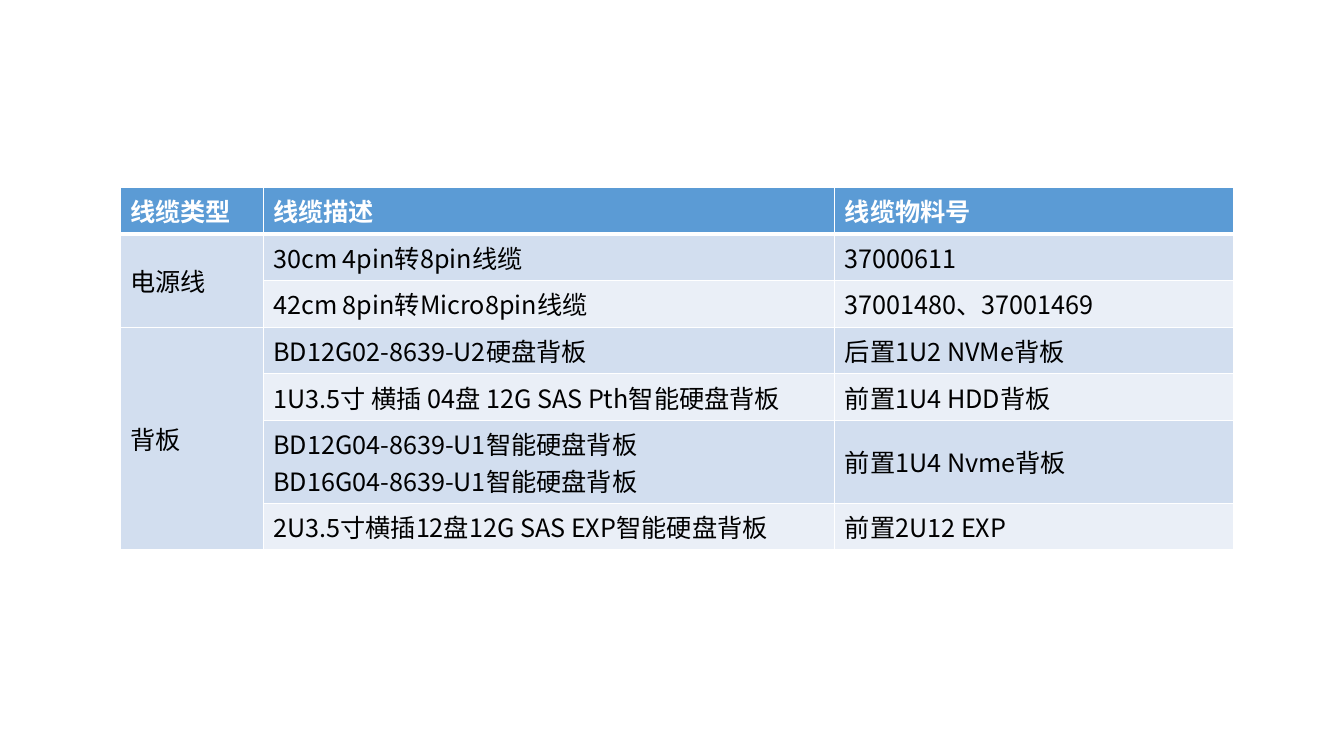
"""Build a slide with a table of cable types, descriptions and part numbers."""
from lxml import etree
from pptx import Presentation
from pptx import util as u
from pptx.dml.color import RGBColor
from pptx.enum import text
from pptx.oxml import ns

WHITE = RGBColor(0xFF, 0xFF, 0xFF)
BLACK = RGBColor(0x00, 0x00, 0x00)
HEADER_BLUE = RGBColor(0x5B, 0x9B, 0xD5)
BAND_DARK = RGBColor(0xD2, 0xDE, 0xEF)
BAND_LIGHT = RGBColor(0xEA, 0xEF, 0xF7)

HEADINGS = ("线缆类型", "线缆描述", "线缆物料号")
CABLE_GROUPS = (
    ("电源线", (
        ("30cm 4pin转8pin线缆", "37000611"),
        ("42cm 8pin转Micro8pin线缆", "37001480、37001469"),
    )),
    ("背板", (
        ("BD12G02-8639-U2硬盘背板", "后置1U2 NVMe背板"),
        ("1U3.5寸 横插 04盘 12G SAS Pth智能硬盘背板", "前置1U4 HDD背板"),
        ("BD12G04-8639-U1智能硬盘背板\nBD16G04-8639-U1智能硬盘背板", "前置1U4 Nvme背板"),
        ("2U3.5寸横插12盘12G SAS EXP智能硬盘背板", "前置2U12 EXP"),
    )),
)


class CableSlide:
    font_name = "Noto Sans CJK SC"
    font_size = u.Pt(18)
    column_widths = (1.42, 5.67, 3.96)
    row_height = u.Inches(0.41)

    def __init__(self, slide):
        self.slide = slide

    def borders(self, cell, row):
        properties = cell._tc.get_or_add_tcPr()
        widths = {"lnL": 1, "lnR": 1, "lnT": 3 if row == 1 else 1, "lnB": 3 if row == 0 else 1}
        for side, width in widths.items():
            line = etree.SubElement(properties, ns.qn(f"a:{side}"), w=str(u.Pt(width)))
            fill = etree.SubElement(line, ns.qn("a:solidFill"))
            etree.SubElement(fill, ns.qn("a:srgbClr"), val=str(WHITE))

    def style_cell(self, cell, row, fill):
        self.borders(cell, row)
        cell.fill.solid()
        cell.fill.fore_color.rgb = fill

    def label(self, cell, words, header=False, middle=False):
        cell.text_frame.text = words
        if middle:
            cell.vertical_anchor = text.MSO_ANCHOR.MIDDLE
        for paragraph in cell.text_frame.paragraphs:
            for run in paragraph.runs:
                font = run.font
                font.name = self.font_name
                font.size = self.font_size
                font.bold = header
                font.color.rgb = WHITE if header else BLACK
                east_asian = etree.SubElement(run._r.get_or_add_rPr(), ns.qn("a:ea"))
                east_asian.set("typeface", self.font_name)

    def table(self, left, top, width, height, headings, groups):
        row_count = 1 + sum(len(cables) for _, cables in groups)
        frame = self.slide.shapes.add_table(
            row_count, len(headings), u.Inches(left), u.Inches(top), u.Inches(width), u.Inches(height))
        table = frame.table
        for column, column_width in zip(table.columns, self.column_widths):
            column.width = u.Inches(column_width)
        for row, table_row in enumerate(table.rows):
            table_row.height = self.row_height
            band = BAND_DARK if row % 2 else BAND_LIGHT
            for column, cell in enumerate(table_row.cells):
                body_fill = BAND_DARK if column == 0 else band
                self.style_cell(cell, row, body_fill if row else HEADER_BLUE)
        for column, heading in enumerate(headings):
            self.label(table.cell(0, column), heading, header=True)
        row = 1
        for cable_type, cables in groups:
            table.cell(row, 0).merge(table.cell(row + len(cables) - 1, 0))
            self.label(table.cell(row, 0), cable_type, middle=True)
            for description, part_number in cables:
                self.label(table.cell(row, 1), description)
                self.label(table.cell(row, 2), part_number, middle="\n" in description)
                row += 1
        frame.height = u.Inches(height)


def main():
    deck = Presentation()
    deck.slide_width = u.Inches(13.33)
    deck.slide_height = u.Inches(7.5)
    cable_slide = CableSlide(deck.slides.add_slide(deck.slide_layouts[6]))
    cable_slide.table(1.19, 1.86, 11.04, 3.13, HEADINGS, CABLE_GROUPS)
    deck.save("out.pptx")


if __name__ == "__main__":
    main()
